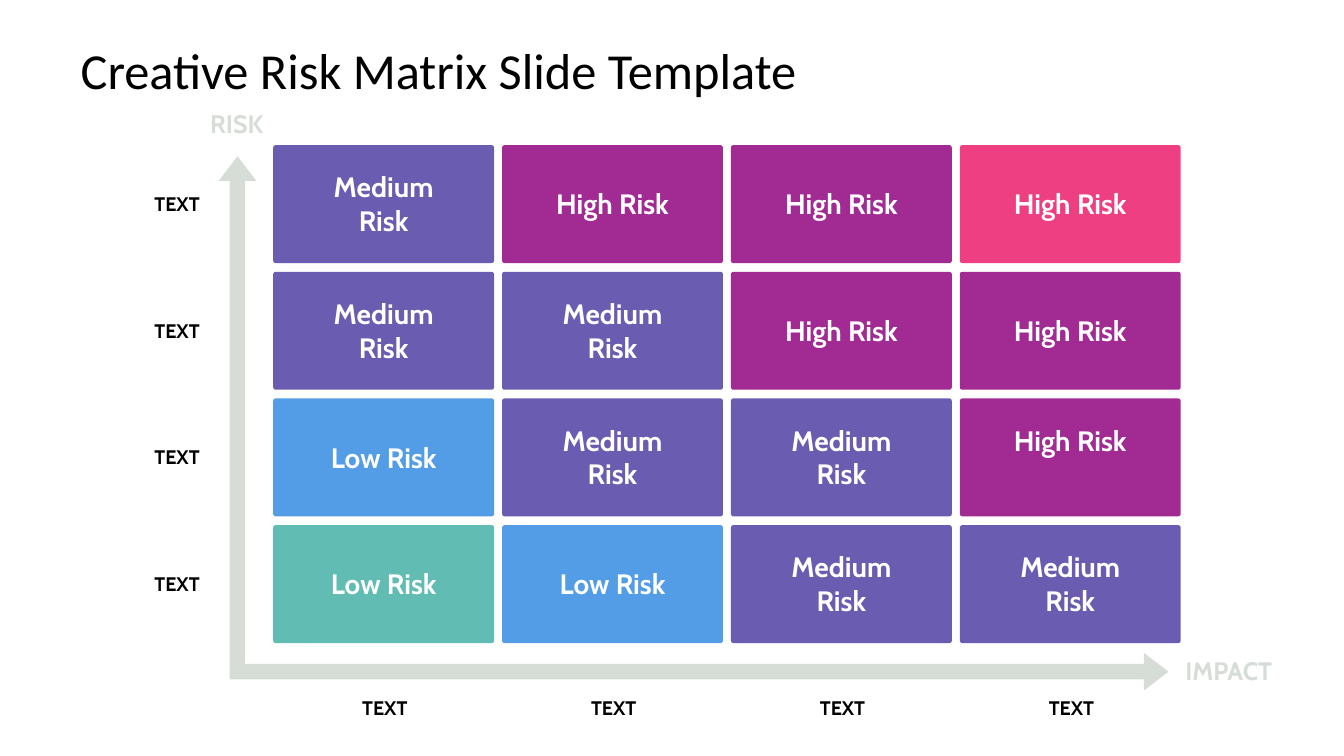
from pptx import Presentation
from pptx.dml.color import RGBColor
from pptx.enum.shapes import MSO_SHAPE as Shape
from pptx.enum.text import MSO_ANCHOR as Anchor, MSO_AUTO_SIZE as AutoSize, PP_ALIGN as Align
from pptx.util import Inches, Pt

BLACK, WHITE, GREY = "000000", "FFFFFF", "D6DCD6"
TEAL, BLUE, VIOLET, PURPLE, PINK = "61BCB3", "539CE6", "6A5DB1", "A12B93", "EE3F82"

LOW, MEDIUM, HIGH = "Low Risk", "Medium Risk", "High Risk"
MATRIX = [
    [(MEDIUM, VIOLET), (HIGH, PURPLE), (HIGH, PURPLE), (HIGH, PINK)],
    [(MEDIUM, VIOLET), (MEDIUM, VIOLET), (HIGH, PURPLE), (HIGH, PURPLE)],
    [(LOW, BLUE), (MEDIUM, VIOLET), (MEDIUM, VIOLET), (HIGH, PURPLE)],
    [(LOW, TEAL), (LOW, BLUE), (MEDIUM, VIOLET), (MEDIUM, VIOLET)],
]
RAISED_CELL = (2, 3)  # its label sits on the first of two text lines
TILE_WIDTH, TILE_HEIGHT = 2.19, 1.17
LINE_HEIGHT = 0.34


def color(value):
    return RGBColor.from_string(value)


def style(para, font, size, value, align, bold=True):
    para.alignment = align
    para.font.name = font
    para.font.size = Pt(size)
    para.font.bold = bold
    para.font.color.rgb = color(value)


def add_label(page, text, box, size, value, align, wrap=False):
    label = page.shapes.add_textbox(*map(Inches, box))
    frame = label.text_frame
    frame.word_wrap = wrap
    frame.auto_size = AutoSize.SHAPE_TO_FIT_TEXT
    if wrap:
        frame.margin_left = frame.margin_right = frame.margin_top = frame.margin_bottom = 0
    frame.text = text
    style(frame.paragraphs[0], "Cabin", size, value, align)


def add_filled(page, kind, box, value, adjustments):
    shape = page.shapes.add_shape(kind, *map(Inches, box))
    shape.shadow.inherit = False
    shape.fill.solid()
    shape.fill.fore_color.rgb = color(value)
    shape.line.fill.background()
    for index, amount in enumerate(adjustments):
        shape.adjustments[index] = amount
    return shape


def add_title(page, text, box):
    title = page.shapes.title
    title.left, title.top, title.width, title.height = map(Inches, box)
    frame = title.text_frame
    frame.margin_left = frame.margin_right = Inches(0.13)
    frame.margin_top = frame.margin_bottom = Inches(0.07)
    frame.vertical_anchor = Anchor.MIDDLE
    frame.text = text
    style(frame.paragraphs[0], "Calibri", 36, BLACK, Align.LEFT, bold=False)


def add_matrix(page, box):
    left, top, width, height = box
    column_pitch = (width - TILE_WIDTH) / (len(MATRIX[0]) - 1)
    row_pitch = (height - TILE_HEIGHT) / (len(MATRIX) - 1)
    label_width = 1.45
    tick_width = 0.67

    # Tiles with their risk levels
    for row, cells in enumerate(MATRIX):
        for column, (level, fill) in enumerate(cells):
            x, y = left + column * column_pitch, top + row * row_pitch
            add_filled(page, Shape.ROUNDED_RECTANGLE, (x, y, TILE_WIDTH, TILE_HEIGHT), fill, [0.021])
            label_height = LINE_HEIGHT * (2 if level == MEDIUM else 1)
            label_top = y + (TILE_HEIGHT - label_height) / 2
            if (row, column) == RAISED_CELL:
                label_top -= LINE_HEIGHT / 2
            label_box = (x + (TILE_WIDTH - label_width) / 2, label_top, label_width, label_height)
            add_label(page, level, label_box, 20, WHITE, Align.CENTER, wrap=True)

    # Tick labels left of the rows and below the columns
    for row in range(len(MATRIX)):
        y = top + row * row_pitch + (TILE_HEIGHT - LINE_HEIGHT) / 2
        add_label(page, "TEXT", (left - 1.3, y, tick_width, LINE_HEIGHT), 14, BLACK, Align.RIGHT)
    for column in range(len(MATRIX[0])):
        x = left + column * column_pitch + (TILE_WIDTH - tick_width) / 2
        add_label(page, "TEXT", (x, top + height + 0.47, tick_width, LINE_HEIGHT), 14, BLACK, Align.RIGHT)


def add_axes(page, box):
    left, top, width, height = box
    arrow = add_filled(page, Shape.LEFT_UP_ARROW, box, GREY, [0.029, 0.035, 0.046])
    arrow.element.spPr.xfrm.set("flipH", "1")
    add_label(page, "IMPACT", (left + width + 0.07, top + height - 0.4, 1.14, 0.4), 18, GREY, Align.LEFT)
    add_label(page, "RISK", (left - 0.21, top - 0.52, 0.75, 0.4), 18, GREY, Align.RIGHT)


def main():
    deck = Presentation()
    deck.slide_width, deck.slide_height = Inches(13.33), Inches(7.5)
    page = deck.slides.add_slide(deck.slide_layouts[5])
    add_title(page, "Creative Risk Matrix Slide Template", (0.67, 0.3, 12, 0.78))
    add_matrix(page, (2.71, 1.44, 9, 4.94))
    add_axes(page, (2.17, 1.55, 9.42, 5.3))
    deck.save("out.pptx")


if __name__ == "__main__":
    main()
